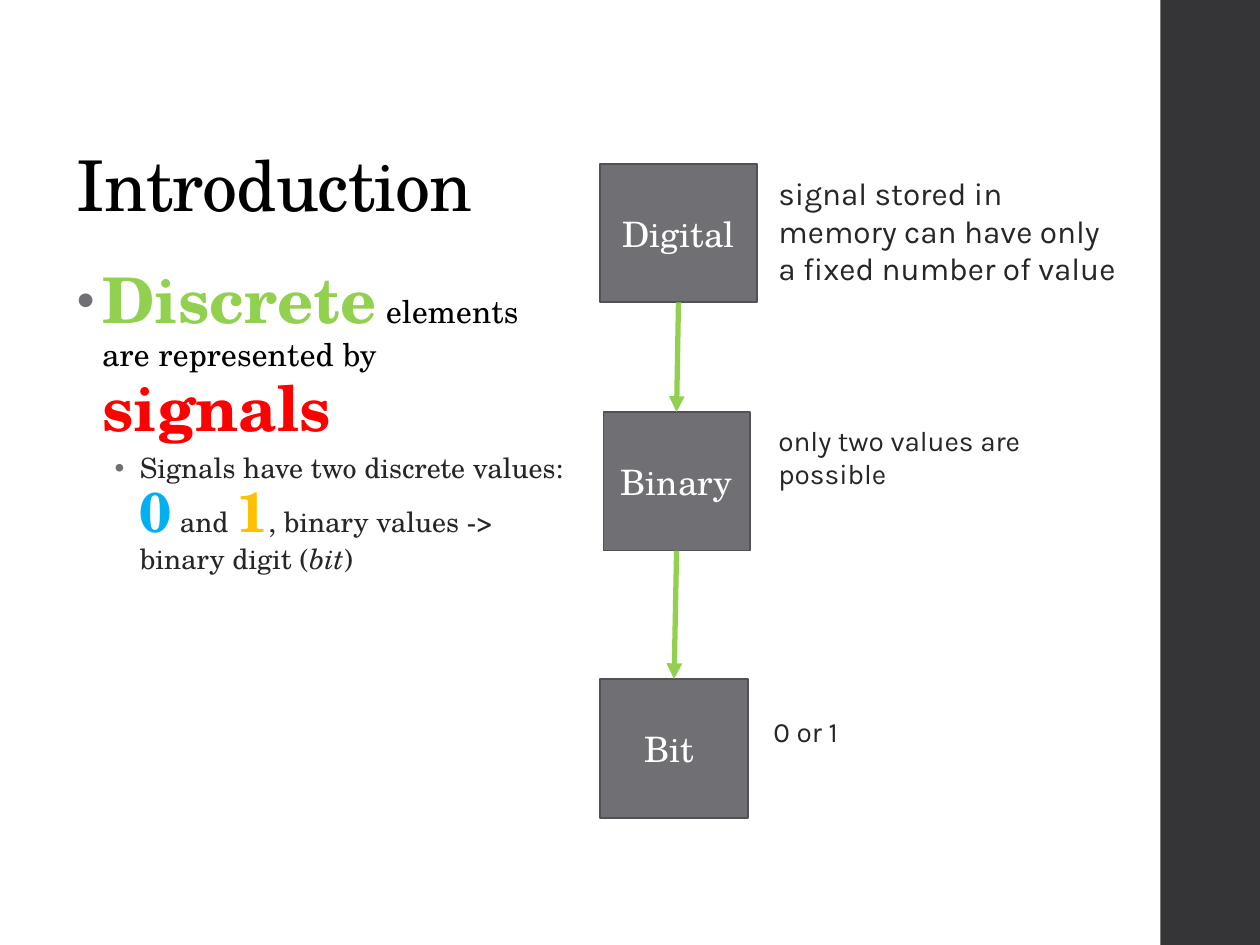
from dataclasses import dataclass

from lxml import etree
from pptx import Presentation
from pptx import util as u
from pptx.dml.color import RGBColor
from pptx.enum import shapes, text
from pptx.oxml.ns import qn


@dataclass
class Theme:
    serif: str = "TeX Gyre Schola"
    sans: str = "Karla"
    black: str = "000000"
    ink: str = "262626"
    white: str = "FFFFFF"
    gray: str = "6F6F74"
    edge: str = "525256"
    side: str = "353537"
    green: str = "92D050"
    red: str = "FF0000"
    blue: str = "00B0F0"
    gold: str = "FFC000"
    title: int = 40
    huge: int = 36
    digit: int = 32
    label: int = 20
    body: int = 18
    small: int = 16


th = Theme()


def add_run(para, words, size, color, face=th.serif, bold=False, slant=False, track=0):
    """Add one run; track is letter spacing in hundredths of a point."""
    run = para.add_run()
    run.text = words
    font = run.font
    font.size, font.name = u.Pt(size), face
    font.bold, font.italic = bold, slant
    font.color.rgb = RGBColor.from_string(color)
    if track:
        run._r.get_or_add_rPr().set("spc", str(track))


def add_rect(left, top, width, height, fill):
    rect = slide.shapes.add_shape(
        shapes.MSO_SHAPE.RECTANGLE, u.Inches(left), u.Inches(top),
        u.Inches(width), u.Inches(height))
    rect.shadow.inherit = False
    rect.fill.solid()
    rect.fill.fore_color.rgb = RGBColor.from_string(fill)
    return rect


deck = Presentation()
deck.slide_width, deck.slide_height = u.Inches(10), u.Inches(7.5)
slide = deck.slides.add_slide(deck.slide_layouts[1])

# Side band
band = add_rect(9.21, 0, 0.79, 7.5, th.side)
band.line.fill.background()

# Title
title = slide.shapes.title
title.left, title.top = u.Inches(0.51), u.Inches(0.4)
title.width, title.height = u.Inches(8.47), u.Inches(1.45)
frame = title.text_frame
frame.auto_size = text.MSO_AUTO_SIZE.NONE
frame.vertical_anchor = text.MSO_ANCHOR.BOTTOM
para = frame.paragraphs[0]
para.alignment = text.PP_ALIGN.LEFT
para.line_spacing = 0.9
add_run(para, "Introduction", th.title, th.black, track=-50)

# Bullet list: level, indent, line spacing, space before, space after, bullet size, runs
items = [
    (0, 0.2, 0.95, 0, 2, 80, [
        ("Discrete", th.huge, th.green, True, False, 10),
        (" elements are represented by ", th.body, th.black, False, False, 10),
        ("signals", th.huge, th.red, True, False, 10)]),
    (1, 0.5, 0.9, 3, 3, 100, [
        ("Signals have two discrete values: ", th.small, th.ink, False, False, 0),
        ("0", th.digit, th.blue, True, False, 0),
        (" and ", th.small, th.ink, False, False, 0),
        ("1", th.digit, th.gold, True, False, 0),
        (", binary values -> binary digit (", th.small, th.ink, False, False, 0),
        ("bit", th.small, th.ink, False, True, 0),
        (")", th.small, th.ink, False, False, 0)]),
]
body = slide.placeholders[1]
body.left, body.top = u.Inches(0.51), u.Inches(2.06)
body.width, body.height = u.Inches(4.09), u.Inches(5.15)
frame = body.text_frame
frame.auto_size = text.MSO_AUTO_SIZE.NONE
for i, (level, indent, lead, before, after, dot, runs) in enumerate(items):
    para = frame.add_paragraph() if i else frame.paragraphs[0]
    para.level = level
    props = para._p.get_or_add_pPr()
    props.set("marL", str(u.Inches(indent)))
    props.set("indent", str(u.Inches(-0.2)))
    tint = etree.SubElement(props, qn("a:buClr"))
    etree.SubElement(tint, qn("a:srgbClr"), val=th.gray)
    etree.SubElement(props, qn("a:buSzPct"), val=str(dot * 1000))
    etree.SubElement(props, qn("a:buFont"), typeface="Arial")
    etree.SubElement(props, qn("a:buChar"), char="•")
    para.line_spacing = lead
    para.space_before, para.space_after = u.Pt(before), u.Pt(after)
    for words, size, color, bold, slant, track in runs:
        add_run(para, words, size, color, bold=bold, slant=slant, track=track)

# Chain of boxes
boxes = []
for words, left, top, width in [
        ("Digital", 4.76, 1.3, 1.25), ("Binary ", 4.79, 3.27, 1.16), ("Bit ", 4.76, 5.39, 1.18)]:
    box = add_rect(left, top, width, 1.1, th.gray)
    box.line.color.rgb = RGBColor.from_string(th.edge)
    box.line.width = u.Pt(1.1)
    box.text_frame.vertical_anchor = text.MSO_ANCHOR.MIDDLE
    para = box.text_frame.paragraphs[0]
    para.alignment = text.PP_ALIGN.CENTER
    add_run(para, words, th.label, th.white)
    boxes.append(box)

# Arrows from each box to the next
for upper, lower in zip(boxes, boxes[1:]):
    arrow = slide.shapes.add_connector(shapes.MSO_CONNECTOR.STRAIGHT, 0, 0, 0, 0)
    arrow.begin_connect(upper, 2)
    arrow.end_connect(lower, 0)
    arrow.line.color.rgb = RGBColor.from_string(th.green)
    arrow.line.width = u.Pt(3)
    etree.SubElement(arrow.line._get_or_add_ln(), qn("a:tailEnd"), type="triangle")
    etree.SubElement(arrow._element.spPr, qn("a:effectLst"))

# Notes beside the boxes
for words, left, top, height, size in [
        ("signal stored in memory can have only a fixed number of value",
         6.08, 1.33, 1.01, th.body),
        ("only two values are possible", 6.08, 3.31, 0.64, th.small),
        ("0 or 1", 6.04, 5.62, 0.37, th.small)]:
    note = slide.shapes.add_textbox(
        u.Inches(left), u.Inches(top), u.Inches(2.94), u.Inches(height))
    frame = note.text_frame
    frame.word_wrap = True
    frame.auto_size = text.MSO_AUTO_SIZE.SHAPE_TO_FIT_TEXT
    add_run(frame.paragraphs[0], words, size, th.ink, face=th.sans)

deck.save("out.pptx")
